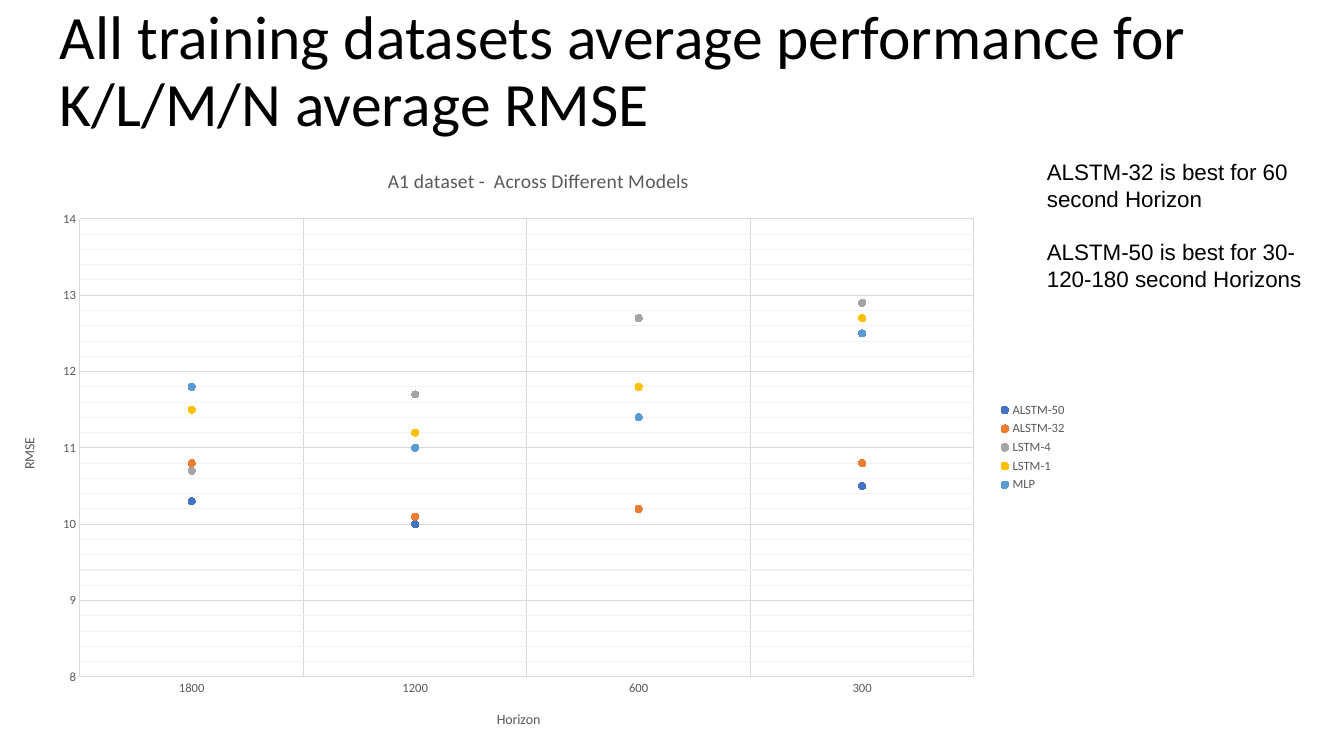
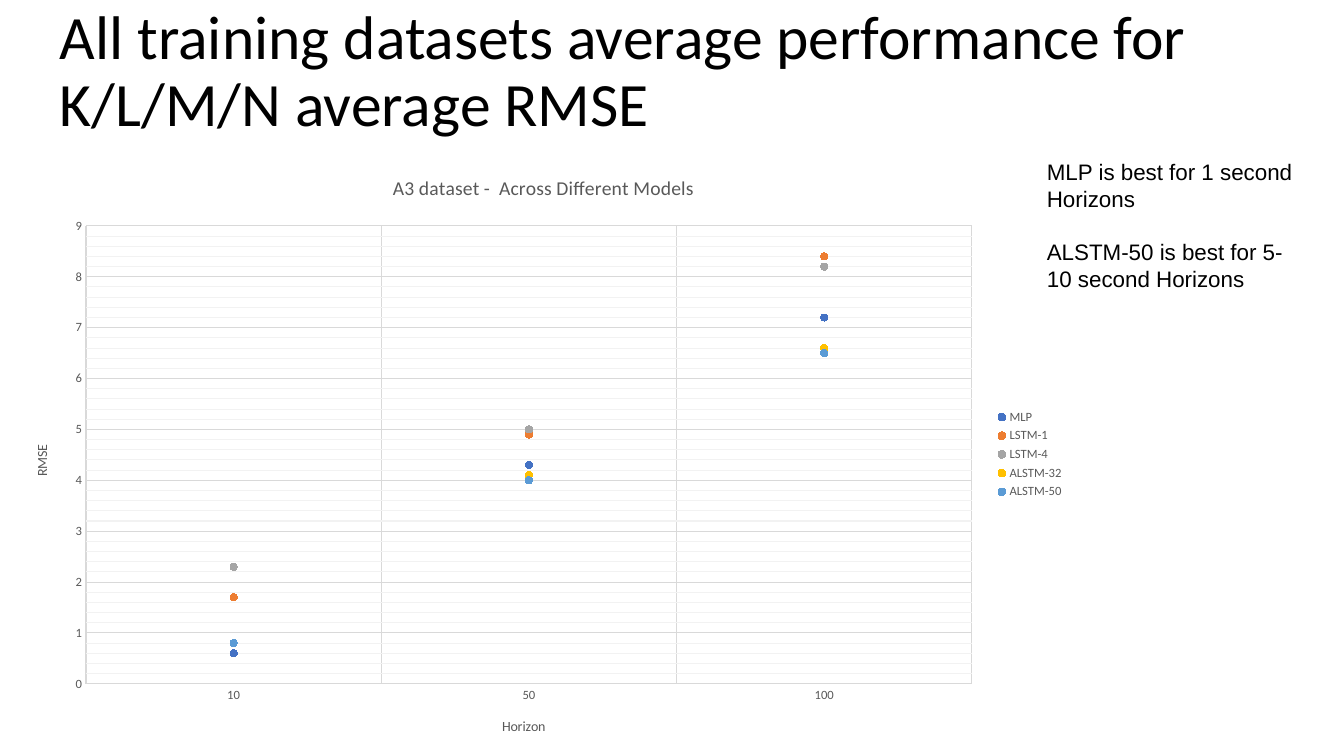
from lxml.etree import SubElement
from pptx import Presentation
from pptx.chart.data import CategoryChartData
from pptx.dml.color import RGBColor
from pptx.enum.chart import (XL_CHART_TYPE, XL_LEGEND_POSITION,
                             XL_MARKER_STYLE, XL_TICK_MARK)
from pptx.enum.text import MSO_ANCHOR
from pptx.oxml.ns import qn
from pptx.util import Emu, Pt

WIDE, HIGH = 1344, 756
SCALE = 12192000 / WIDE
BLACK, GREY, GRID, FAINT = "000000", "595959", "D9D9D9", "F2F2F2"
COLORS = ["4472C4", "ED7D31", "A5A5A5", "FFC000", "5B9BD5"]
HEAD = "All training datasets average performance for K/L/M/N average RMSE"


def px(num):
    return Emu(round(num * SCALE))


def rgb(code):
    return RGBColor.from_string(code)


class Deck:
    """Holds the shared style and the current slide."""

    def __init__(self):
        self.prs = Presentation()
        self.prs.slide_width, self.prs.slide_height = px(WIDE), px(HIGH)
        self.slide = None

    def page(self):
        self.slide = self.prs.slides.add_slide(self.prs.slide_layouts[6])
        self.text((50, 0, 1159, 146), [HEAD], 44, "Calibri",
                  MSO_ANCHOR.MIDDLE, 0.9)

    def font(self, font, size, color, face="Calibri"):
        font.size, font.name, font.bold = Pt(size), face, False
        font.color.rgb = rgb(color)

    def text(self, box, lines, size, face, anchor=MSO_ANCHOR.TOP, pitch=1.0):
        frame = self.slide.shapes.add_textbox(*map(px, box)).text_frame
        frame.word_wrap, frame.vertical_anchor = True, anchor
        frame.text = "\n".join(lines)
        for i, para in enumerate(frame.paragraphs):
            para.line_spacing = pitch
            para.space_before = Pt(19 if i else 0)
            self.font(para.runs[0].font, size, BLACK, face)

    def note(self, lines, high):
        self.text((1037, 153, 275, high), lines, 16, "Arial")

    def label(self, owner, text, size):
        owner.text_frame.text = text
        self.font(owner.text_frame.paragraphs[0].runs[0].font, size, GREY)

    def line(self, item, color):
        item.format.line.color.rgb = rgb(color)
        item.format.line.width = Pt(0.75)

    def axis(self, axis, title):
        self.label(axis.axis_title, title, 10)
        axis.major_tick_mark = axis.minor_tick_mark = XL_TICK_MARK.NONE
        axis.has_major_gridlines = True
        self.line(axis.major_gridlines, GRID)
        self.font(axis.tick_labels.font, 9, GREY)

    def minor(self, chart, axis):
        """Draw the faint lines between the main grid lines."""
        axis.has_minor_gridlines = True
        node = chart.element.find(".//" + qn("c:minorGridlines"))
        line = SubElement(SubElement(node, qn("c:spPr")), qn("a:ln"))
        line.set("w", str(Pt(0.75)))
        fill = SubElement(line, qn("a:solidFill"))
        SubElement(fill, qn("a:srgbClr")).set("val", FAINT)

    def fix(self, chart, box, plot):
        """Pin the inner plot area to a place on the slide."""
        area = chart.element.find(".//" + qn("c:plotArea"))
        lay = area.find(qn("c:layout"))
        if lay is None:
            lay = SubElement(area, qn("c:layout"))
            area.insert(0, lay)
        spot = SubElement(lay, qn("c:manualLayout"))
        left, top, wide, high = box
        x, y, w, h = plot
        rules = {"layoutTarget": "inner", "xMode": "edge", "yMode": "edge",
                 "x": (x - left) / wide, "y": (y - top) / high,
                 "w": w / wide, "h": h / high}
        for key, val in rules.items():
            SubElement(spot, qn("c:" + key)).set("val", str(val))

    def chart(self, box, plot, title, cats, rows, low, top):
        data = CategoryChartData()
        data.categories = cats
        for name, vals in rows.items():
            data.add_series(name, vals)
        chart = self.slide.shapes.add_chart(
            XL_CHART_TYPE.LINE_MARKERS, *map(px, box), data).chart
        self.font(chart.font, 10, BLACK)
        chart.has_title = True
        self.label(chart.chart_title, title, 14)
        self.fix(chart, box, plot)

        # Axes and grid
        self.axis(chart.category_axis, "Horizon")
        self.line(chart.category_axis, GRID)
        axis = chart.value_axis
        self.axis(axis, "RMSE")
        axis.format.line.fill.background()
        axis.minimum_scale, axis.maximum_scale = low, top
        axis.major_unit, axis.minor_unit = 1, 0.2
        axis.tick_labels.number_format = "General"
        axis.tick_labels.number_format_is_linked = False
        self.minor(chart, axis)

        # Legend
        chart.has_legend = True
        chart.legend.position = XL_LEGEND_POSITION.RIGHT
        chart.legend.include_in_layout = False
        self.font(chart.legend.font, 9, GREY)

        # Markers without joining lines
        chart.plots[0].vary_by_categories = False
        for row, color in zip(chart.plots[0].series, COLORS):
            row.smooth = False
            row.format.line.fill.background()
            mark = row.marker
            mark.style, mark.size = XL_MARKER_STYLE.CIRCLE, 5
            mark.format.fill.solid()
            mark.format.fill.fore_color.rgb = rgb(color)
            self.line(mark, color)


def main():
    deck = Deck()

    # A1 dataset
    deck.page()
    deck.note(["ALSTM-32 is best for 60 second Horizon",
               "ALSTM-50 is best for 30-120-180 second Horizons"], 173)
    deck.chart((0, 146, 1077, 603), (80, 219, 894, 458),
               "A1 dataset -  Across Different Models",
               ["1800", "1200", "600", "300"],
               {"ALSTM-50": [10.3, 10, 10.2, 10.5],
                "ALSTM-32": [10.8, 10.1, 10.2, 10.8],
                "LSTM-4": [10.7, 11.7, 12.7, 12.9],
                "LSTM-1": [11.5, 11.2, 11.8, 12.7],
                "MLP": [11.8, 11, 11.4, 12.5]}, 8, 14)

    # A3 dataset
    deck.page()
    deck.note(["MLP is best for 1 second Horizons",
               "ALSTM-50 is best for 5-10 second Horizons"], 146)
    deck.chart((13, 153, 1061, 603), (86, 226, 886, 458),
               "A3 dataset -  Across Different Models",
               ["10", "50", "100"],
               {"MLP": [0.6, 4.3, 7.2],
                "LSTM-1": [1.7, 4.9, 8.4],
                "LSTM-4": [2.3, 5, 8.2],
                "ALSTM-32": [0.8, 4.1, 6.6],
                "ALSTM-50": [0.8, 4, 6.5]}, 0, 9)

    deck.prs.save("out.pptx")


if __name__ == "__main__":
    main()
